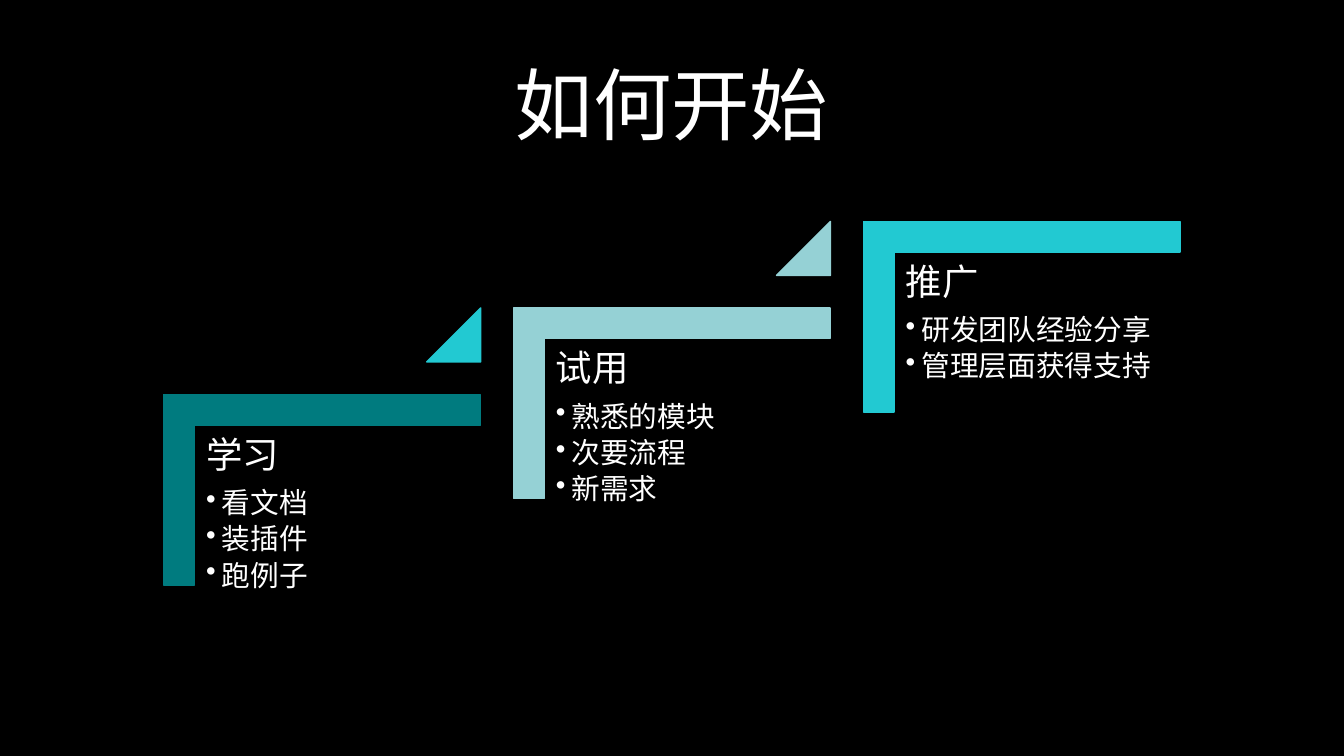
from lxml.etree import SubElement
from pptx import Presentation
from pptx.dml.color import RGBColor
from pptx.enum.shapes import MSO_SHAPE
from pptx.enum.text import MSO_ANCHOR, PP_ALIGN
from pptx.oxml.ns import qn
from pptx.util import Cm, Pt

TEAL, PALE, CYAN, WHITE, BLACK = "007B7F", "95D1D5", "22C9D2", "FFFFFF", "000000"
STEPS = [
    ("学习", ["看文档", "装插件", "跑例子"], TEAL, CYAN),
    ("试用", ["熟悉的模块", "次要流程", "新需求"], PALE, PALE),
    ("推广", ["研发团队经验分享", "管理层面获得支持"], CYAN, None),
]
STEP_RIGHT, STEP_UP = 17.63, 4.36
HEADING = {"line_spacing": 0.9, "space_after": Pt(18)}
BULLET = {"line_spacing": 0.9, "space_after": Pt(7.5), "level": 1}


def set_all(target, values):
    """Set every attribute in values on the target."""
    for name, value in values.items():
        setattr(target, name, value)


def paint(fill, color):
    """Give a fill one solid hex colour."""
    fill.solid()
    fill.fore_color.rgb = RGBColor.from_string(color)


def add_shape(page, kind, place, color, adjustments):
    """Add a preset shape with matching fill and outline."""
    shape = page.shapes.add_shape(kind, *map(Cm, place))
    shape.shadow.inherit = False
    for index, value in enumerate(adjustments):
        shape.adjustments[index] = value
    paint(shape.fill, color)
    paint(shape.line.fill, color)
    shape.line.width = Pt(2)
    return shape


def add_corner(page, place, color):
    """Add a turned L-shaped corner, a preset that MSO_SHAPE does not list."""
    shape = add_shape(page, MSO_SHAPE.HALF_FRAME, place, color, (0.161, 0.161))
    shape._element.spPr.find(qn("a:prstGeom")).set("prst", "corner")
    shape.rotation = 90


def add_box(page, place, inset, anchor):
    """Add an empty wrapping text box and return its text frame."""
    frame = page.shapes.add_textbox(*map(Cm, place)).text_frame
    sides = ("left", "top", "right", "bottom")
    set_all(frame, {f"margin_{side}": Cm(inset) for side in sides})
    set_all(frame, {"word_wrap": True, "vertical_anchor": anchor})
    return frame


def write(para, text, size, font, layout):
    """Write white text into a paragraph."""
    set_all(para, layout)
    span = para.add_run()
    span.text = text
    set_all(span.font, {"size": Pt(size), "name": font})
    paint(span.font.fill, WHITE)
    SubElement(span._r.get_or_add_rPr(), qn("a:ea")).set("typeface", font)


def add_bullet(para):
    """Give a paragraph a hanging round bullet."""
    properties = para._p.get_or_add_pPr()
    properties.set("marL", str(Cm(0.79)))
    properties.set("indent", str(-Cm(0.79)))
    SubElement(properties, qn("a:buChar")).set("char", "•")


def add_step(page, index, heading, points, color, arrow_color):
    """Draw one stair step with its text and the triangle leading on."""
    right, up = index * STEP_RIGHT, index * STEP_UP
    add_corner(page, (11.43 + right, 16.71 - up, 9.6, 15.95), color)
    frame = add_box(page, (9.83 + right, 21.46 - up, 14.4, 12.62), 0.56, MSO_ANCHOR.TOP)
    write(frame.paragraphs[0], heading, 52, "Arial", HEADING)
    for point in points:
        para = frame.add_paragraph()
        write(para, point, 41, "Arial", BULLET)
        add_bullet(para)
    if arrow_color:
        add_shape(page, MSO_SHAPE.ISOSCELES_TRIANGLE,
                  (21.51 + right, 15.52 - up, 2.72, 2.72), arrow_color, (1,))


def main():
    """Build and save the slide."""
    deck = Presentation()
    set_all(deck, {"slide_width": Cm(67.74), "slide_height": Cm(38.1)})
    page = deck.slides.add_slide(deck.slide_layouts[6])
    paint(page.background.fill, BLACK)
    title = add_box(page, (2.97, 0.99, 61.75, 8.43), 0.2, MSO_ANCHOR.MIDDLE)
    write(title.paragraphs[0], "如何开始", 112, "Noto Sans CJK SC",
          {"alignment": PP_ALIGN.CENTER})
    for index, step in enumerate(STEPS):
        add_step(page, index, *step)
    deck.save("out.pptx")


if __name__ == "__main__":
    main()
